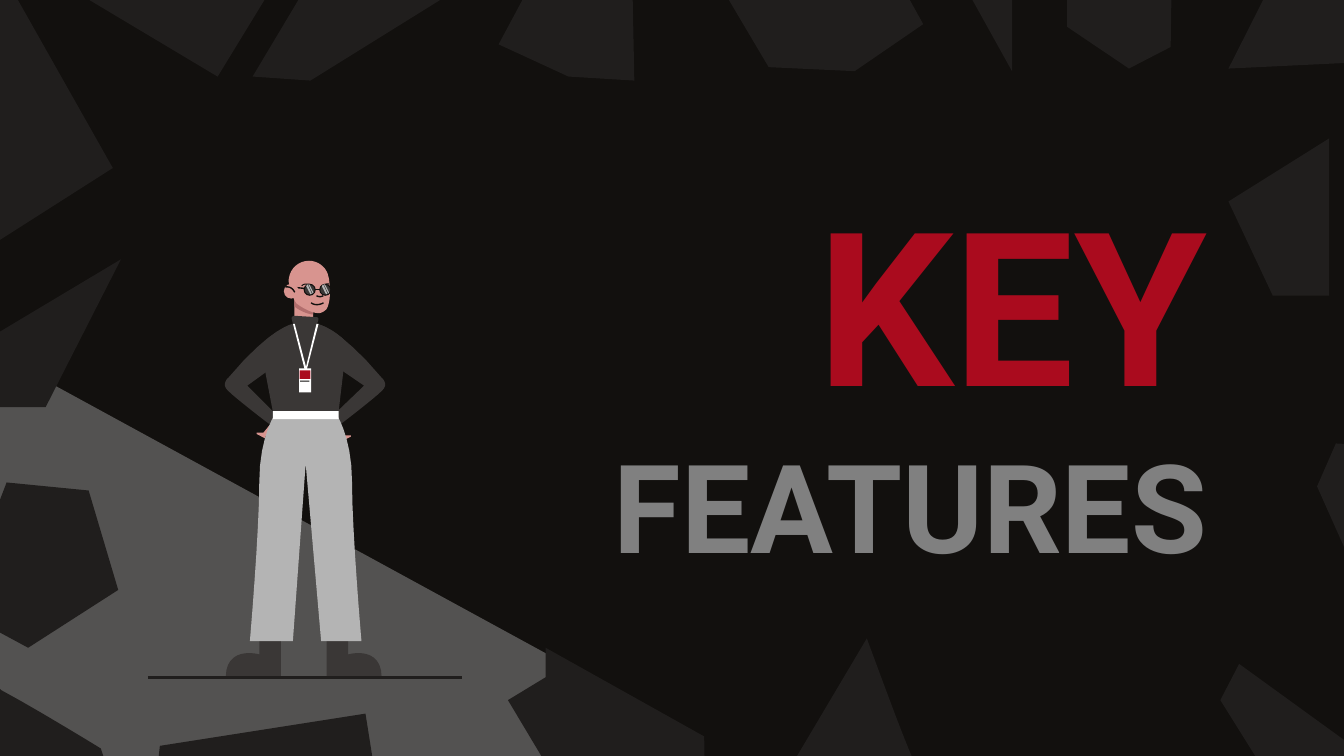
from lxml import etree
from pptx import Presentation
from pptx import util as u
from pptx.dml.color import RGBColor
from pptx.enum import shapes, text
from pptx.oxml.ns import qn

UNIT = 0.72  # points in one drawing unit
STEPS = 8    # straight pieces in one curve

INK, SHARD, CLOTH = "12100E", "201E1D", "3A3736"
SKIN, SHADE, GREY = "D8948F", "B26E6D", "B4B4B4"
WHITE, RED, MID = "FFFFFF", "AA0B1E", "808080"
FONT = "Roboto"

# Outlines: a pair is a corner, six numbers are a curve (two handles, end)
BEAM = [(-95, 321), (165, 844), (481, 527), (-25, 251)]

SHARDS = [
    [(989, 220), (947, 220), (914, 150), (989, 103)],
    [(914, 51), (959, -38), (948, -66), (1019, -66), (1019, 46)],
    [(840, 51), (794, 20), (794, -97), (873, -97), (871, 35)],
    [(753, 53), (688, -64), (753, -64)],
    [(636, 53), (572, 50), (511, -53), (536, -99), (622, -99), (687, 18)],
    [(472, 60), (423, 57), (371, 33), (438, -92), (469, -92)],
    [(231, 60), (188, 57), (277, -92), (366, -92), (371, -27)],
    [(162, 57), (23, -26), (-7, -22), (-7, -92), (253, -92)],
    [(-29, 197), (-29, -17), (1, -22), (84, 125)],
    [(-7, 303), (-7, 251), (90, 193), (34, 303)],
    [(21, 482), (-5, 468), (-5, 385), (5, 359), (66, 365), (88, 439)],
    [(-16, 566), (-16, 566, -22, 508, -16, 506),
     (-8, 506, 75, 557, 75, 557), (78, 566)],
    [(118, 564), (119, 555), (272, 531), (288, 632)],
    [(430, 608), (378, 521), (406, 504), (406, 482), (524, 548), (525, 608)],
    [(591, 566), (645, 475), (645, 475, 676, 560, 680, 566)],
    [(943, 577), (908, 521), (922, 494), (1013, 560), (1013, 577)],
    [(1013, 436), (980, 362), (994, 330), (1013, 331)],
]

SHOES = [
    [(243, 464), (243, 504), (284, 504), (284, 489, 274, 486, 267, 486),
     (262, 486, 259, 487, 259, 487), (259, 464)],
    [(193, 464), (193, 487), (193, 487, 190, 486, 185, 486),
     (178, 486, 168, 489, 168, 504), (209, 504), (209, 464)],
]
NECK = [(227, 217), (223, 217, 219, 220, 219, 224), (219, 238),
        (219, 242, 223, 245, 227, 245), (230, 245, 233, 242, 233, 238),
        (233, 224), (233, 220, 230, 217, 227, 217)]
CHIN = [(226, 217), (222, 217, 219, 220, 219, 223), (219, 228),
        (224, 232, 230, 234, 233, 234), (233, 223),
        (233, 220, 230, 217, 227, 217)]
HEAD = [(230, 194), (222, 194, 216, 200, 215, 207),
        (214, 210, 217, 217, 218, 221), (219, 223, 220, 225, 221, 226),
        (225, 229, 232, 233, 237, 233), (239, 233, 241, 232, 243, 230),
        (246, 225, 246, 215, 245, 209), (245, 207, 244, 205, 244, 204),
        (242, 198, 236, 194, 230, 194)]
# Face strokes: outline, width in points
NOSE = ([(235.5, 220), (237, 221, 239, 221, 240.5, 220)], 0.75)
BROWS = [([(224.5, 212.7), (226, 211, 229, 211, 231, 212)], 0.5),
         ([(242, 212), (243, 211, 244, 211, 245, 211.5)], 0.5)]
SMILE = ([(231.5, 225.3), (234, 227.3, 238, 227, 240.7, 225.3)], 0.75)
BRIDGE = ([(234.5, 215.5), (240, 215.5)], 0.75)
TEMPLE = ([(215.5, 213.5), (227, 214.7)], 0.75)
FOLD = ([(212.3, 213.5), (216, 213, 218, 215, 219.3, 217.5)], 0.75)
LENSES = [230.4, 242]  # middles
GLINTS = [[(-1.5, -4), (-2.6, -2.7), (0.6, 3.4), (1.6, 3)],
          [(-0.2, -4), (-1, -4), (2.3, 2.8), (2.8, 2)]]

TOP = [
    [(222, 240), (222, 240, 199, 247, 194, 259), (203, 306), (252, 306),
     (258, 255), (258, 255, 247, 242, 231, 240)],
    [(218, 241), (218, 241, 202, 243, 170, 281), (170, 281, 164, 286, 170, 291),
     (176, 297, 201, 316, 201, 316), (206, 309), (184, 287), (202, 274)],
    [(236, 241), (252, 274), (271, 287), (248, 309), (253, 316),
     (253, 316, 278, 297, 284, 291), (290, 286, 284, 281, 284, 281),
     (252, 243, 236, 241, 236, 241)],
    [(219, 235), (218, 235, 217, 236, 217, 237), (218, 241), (236, 241),
     (237, 238), (237, 237, 237, 236, 235, 236)],
]
STRAP = [(218, 241), (227, 276), (228, 276), (237, 241), (235.5, 241),
         (227.7, 273), (219.3, 241)]
# Badge: left, top, width, height, fill
BADGE = [(222.5, 274, 9, 18, WHITE), (223, 275.5, 8, 6.5, RED),
         (223.3, 283.3, 7, 0.7, INK)]
HANDS = [
    [(205, 311), (196, 322), (191, 322), (191, 323), (197, 326)],
    [(249, 312), (255, 328), (261, 325), (261, 324), (256, 324)],
]
PANTS = [(206, 306), (206, 306, 193, 323, 193, 359),
         (193, 396, 186, 477, 186, 477), (218, 477), (227.5, 345), (239, 477),
         (269, 477), (269, 477, 262, 396, 262, 359),
         (262, 323, 249, 306, 249, 306)]
BELT = (203, 306, 49, 6, WHITE)


def pt(n):
    return u.Pt(round(n * UNIT, 2))


def rgb(code):
    return RGBColor.from_string(code)


def trace(path):
    """Turn corners and curves into a list of plain points."""
    dots = [path[0]]
    for node in path[1:]:
        if len(node) == 2:
            dots.append(node)
            continue
        x, y = dots[-1]
        a, b, c, d, e, f = node
        for i in range(1, STEPS + 1):
            t = i / STEPS
            s = 1 - t
            k = (s ** 3, 3 * s * s * t, 3 * s * t * t, t ** 3)
            dots.append((k[0] * x + k[1] * a + k[2] * c + k[3] * e,
                         k[0] * y + k[1] * b + k[2] * d + k[3] * f))
    return dots


def paint(shape, fill):
    shape.shadow.inherit = False
    shape.fill.solid()
    shape.fill.fore_color.rgb = rgb(fill)
    shape.line.fill.background()
    return shape


def outline(home, path, close):
    dots = [(pt(x), pt(y)) for x, y in trace(path)]
    pen = home.build_freeform(*dots[0])
    pen.add_line_segments(dots[1:], close=close)
    return pen.convert_to_shape()


def form(home, path, fill):
    return paint(outline(home, path, True), fill)


def stroke(home, path, width):
    shape = outline(home, path, False)
    shape.shadow.inherit = False
    shape.fill.background()
    shape.line.color.rgb = rgb(INK)
    shape.line.width = u.Pt(width)


def block(home, x, y, w, h, fill, kind=shapes.MSO_SHAPE.RECTANGLE):
    return paint(home.add_shape(kind, pt(x), pt(y), pt(w), pt(h)), fill)


def disc(home, x, y, size, fill):
    block(home, x - size / 2, y - size / 2, size, size, fill, shapes.MSO_SHAPE.OVAL)


def write(para, words, size, color, bold=True):
    run = para.add_run()
    run.text = words
    run.font.name, run.font.size, run.font.bold = FONT, u.Pt(size), bold
    run.font.color.rgb = rgb(color)


deck = Presentation()
deck.slide_width, deck.slide_height = u.Pt(720), u.Pt(405)
slide = deck.slides.add_slide(deck.slide_layouts[6])
slide.background.fill.solid()
slide.background.fill.fore_color.rgb = rgb(INK)

# Light beam and shards
beam = form(slide.shapes, BEAM, WHITE)
tint = beam.fill._xPr.find(qn("a:solidFill"))[0]
etree.SubElement(tint, qn("a:alpha")).set("val", "28000")
wall = slide.shapes.add_group_shape().shapes
for path in SHARDS:
    form(wall, path, SHARD)

# Title
box = slide.shapes.add_textbox(pt(248), pt(203), pt(660), pt(152))
frame = box.text_frame
frame.word_wrap = True
frame.vertical_anchor = text.MSO_ANCHOR.MIDDLE
frame.margin_left = frame.margin_right = u.Pt(7.2)
frame.margin_top = frame.margin_bottom = u.Pt(7.2)
para = frame.paragraphs[0]
para.alignment = text.PP_ALIGN.RIGHT
write(para, "KEY", 115, RED)
write(para, " ", 54, RED, bold=False)
write(para, "FEATURES", 66, MID)

# Shoes, neck and head
man = slide.shapes.add_group_shape().shapes
for path in SHOES:
    form(man, path, CLOTH)
for path, fill in [(NECK, SKIN), (CHIN, SHADE), (HEAD, SKIN)]:
    form(man, path, fill)
for path, width in [NOSE, *BROWS, SMILE, BRIDGE]:
    stroke(man, path, width)

# Glasses and ear
for x in LENSES:
    disc(man, x, 215.6, 9, INK)
    disc(man, x, 215.6, 7.2, CLOTH)
    for path in GLINTS:
        form(man, [(x + a, 215.6 + b) for a, b in path], GREY)
stroke(man, *TEMPLE)
disc(man, 216.7, 216.7, 11, SKIN)
stroke(man, *FOLD)

# Clothes, badge and hands
for path in TOP:
    form(man, path, CLOTH)
form(man, STRAP, WHITE)
for part in BADGE:
    block(man, *part)
for path in HANDS:
    form(man, path, SKIN)
form(man, PANTS, GREY)
block(man, *BELT)

# Floor
floor = slide.shapes.add_connector(
    shapes.MSO_CONNECTOR.STRAIGHT, pt(110), pt(504), pt(344), pt(504))
floor.line.color.rgb = rgb(SHARD)
floor.line.width = u.Pt(1.5)
etree.SubElement(floor._element.spPr, qn("a:effectLst"))

deck.save("out.pptx")
